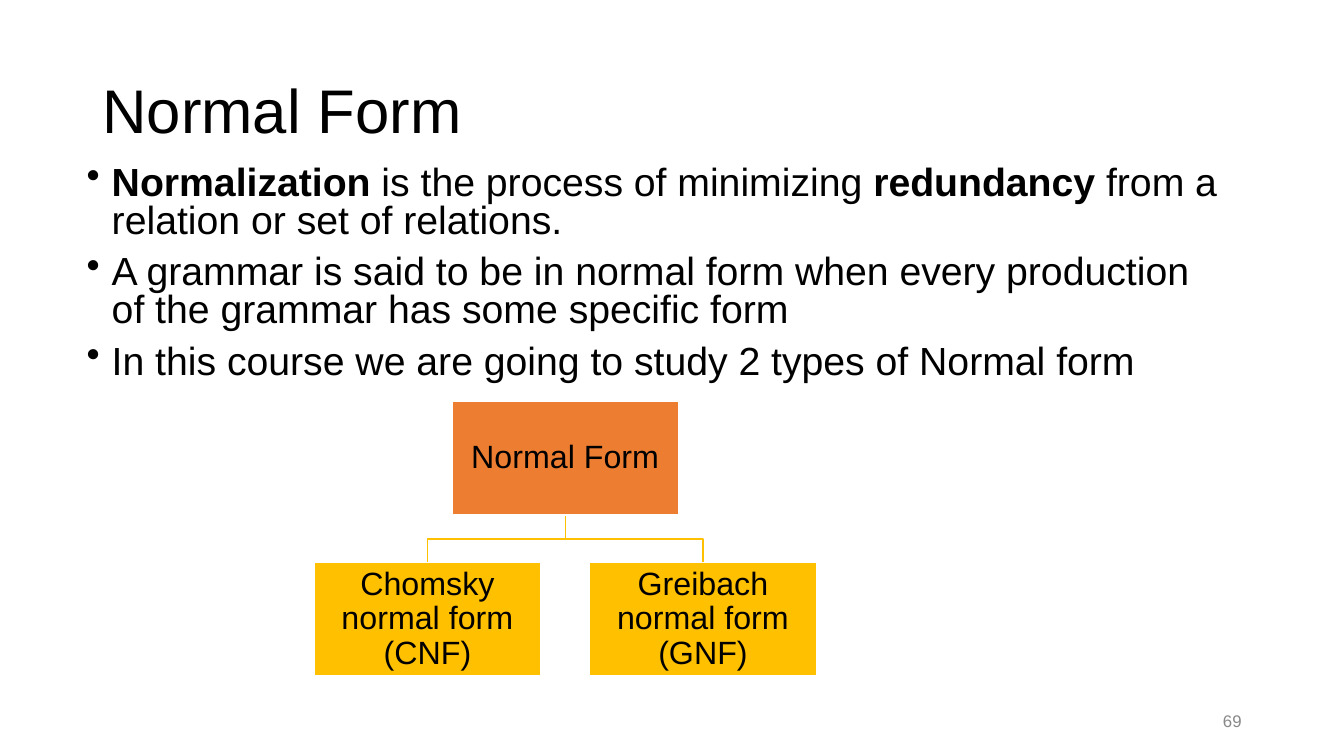
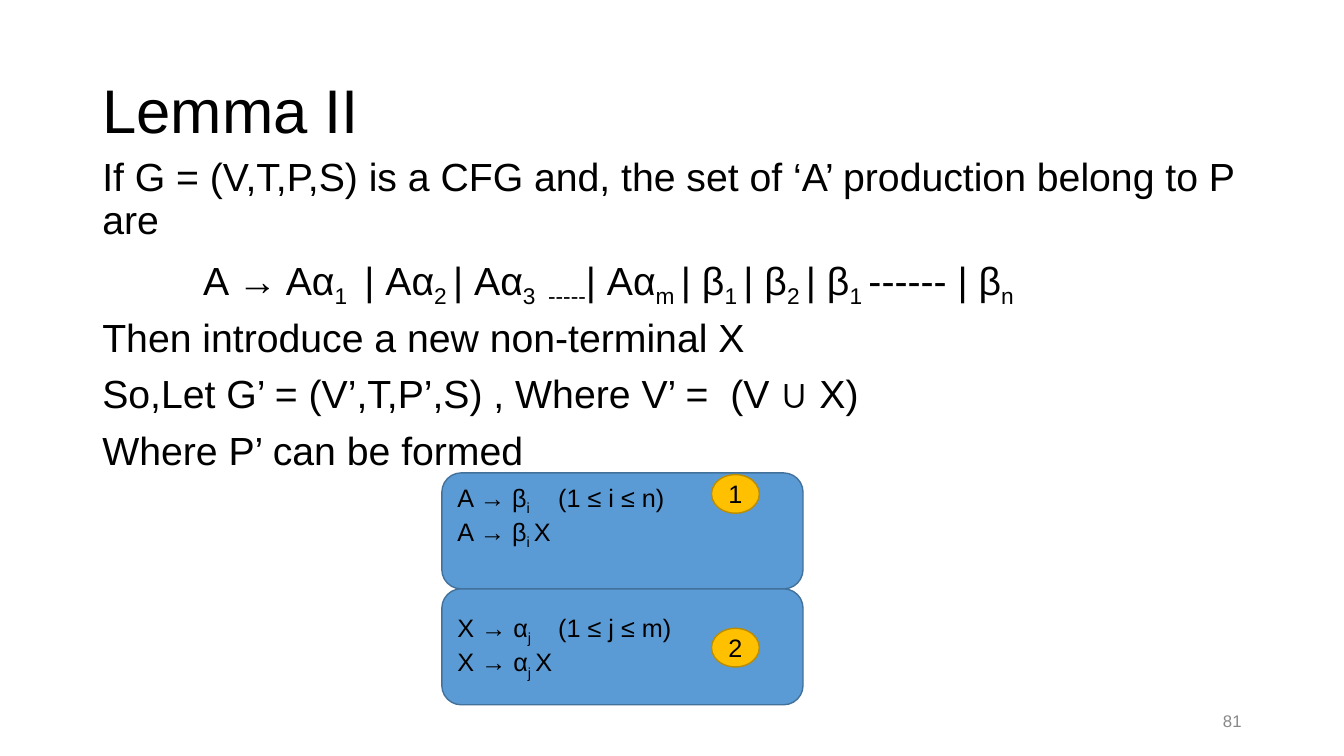
from dataclasses import dataclass
from typing import NamedTuple

from lxml.etree import SubElement
from pptx import Presentation
from pptx.dml.color import RGBColor
from pptx.enum.shapes import MSO_SHAPE
from pptx.enum.text import MSO_ANCHOR, PP_ALIGN
from pptx.oxml.ns import qn
from pptx.util import Emu, Inches, Pt

COLORS = {
    "text": "000000",
    "muted": "888888",
    "white": "FFFFFF",
    "orange": "ED7D31",
    "gold": "FFC000",
    "gold_edge": "BA8C00",
    "blue": "5B9BD5",
    "blue_edge": "42719B",
}
FONT = "Arial"
SLIDE_WIDTH, SLIDE_HEIGHT = Inches(13.33), Inches(7.5)
GRID_COLUMNS, GRID_ROWS = 80, 45
MARK = "~"  # encloses the emphasised parts of a line


class Box(NamedTuple):
    """A rectangle in grid columns and rows."""
    col: float
    row: float
    cols: float
    rows: float

    @property
    def middle(self) -> float:
        return self.col + self.cols / 2

    @property
    def bottom(self) -> float:
        return self.row + self.rows


@dataclass(frozen=True)
class TextStyle:
    size: float
    color: str = "text"
    align: PP_ALIGN = PP_ALIGN.LEFT
    anchor: MSO_ANCHOR = MSO_ANCHOR.MIDDLE
    line_spacing: float = 1.0
    space_before: float = 0
    bullet: bool = False
    subscripts: bool = False  # marked parts are subscripts instead of bold
    tab: float = 0
    insets: tuple[float, float, float, float] = (0.1, 0.05, 0.1, 0.05)


class Rule(NamedTuple):
    """A numbered group of productions."""
    number: str
    lines: list[str]
    bottom_inset: float
    badge_row: float


TITLE_BOX = Box(5.5, 2.4, 69, 8.7)
NUMBER_BOX = Box(56.5, 41.7, 18, 2.4)
TITLE = TextStyle(44, line_spacing=0.9)
NUMBER = TextStyle(12, "muted", PP_ALIGN.RIGHT)
BULLETS = TextStyle(28, anchor=MSO_ANCHOR.TOP, line_spacing=0.8,
                    space_before=10, bullet=True)
LEMMA = TextStyle(28, anchor=MSO_ANCHOR.TOP, line_spacing=0.9,
                  space_before=10, subscripts=True)
NODE = TextStyle(23, align=PP_ALIGN.CENTER, line_spacing=0.9, insets=(0.02,) * 4)
BADGE = TextStyle(18, align=PP_ALIGN.CENTER, insets=(0,) * 4)

DEFINITIONS = [
    "~Normalization~ is the process of minimizing ~redundancy~ from a relation"
    " or set of relations.",
    "A grammar is said to be in normal form when every production of the grammar"
    " has some specific form",
    "In this course we are going to study 2 types of Normal form",
]
ROOT = Box(26.9, 23.9, 13.5, 6.75)
CHILD_PITCH, CHILD_ROW = 16.4, 33.5
CHILD_FORMS = ["Chomsky normal form (CNF)", "Greibach normal form (GNF)"]

LEMMA_LINES = [
    "If G = (V,T,P,S) is a CFG and, the set of ‘A’ production belong to P are",
    "A → Aα~1 ~ | Aα~2 ~| Aα~3  -----~| Aα~m ~| β~1 ~| β~2 ~| β~1 ~------ | β~n~",
    "Then introduce a new non-terminal X",
    "So,Let G’ = (V’,T,P’,S) , Where V’ =  (V ∪ X)",
    "Where P’ can be formed",
]
FORMULA_LINE = 1
RULE_BOX = Box(26.3, 28.15, 21.5, 6.9)
RULES = [
    Rule("1", ["A → β~i~\t(1 ≤ i ≤ n)", "A → β~i ~X"], 0.34, 28.25),
    Rule("2", ["X → α~j~\t(1 ≤ j ≤ m)", "X → α~j ~X"], 0.05, 37.4),
]


def rgb(name: str) -> RGBColor:
    return RGBColor.from_string(COLORS[name])


def grid_x(col: float) -> Emu:
    return Emu(round(col * SLIDE_WIDTH / GRID_COLUMNS))


def grid_y(row: float) -> Emu:
    return Emu(round(row * SLIDE_HEIGHT / GRID_ROWS))


def place(box: Box) -> tuple[Emu, Emu, Emu, Emu]:
    return grid_x(box.col), grid_y(box.row), grid_x(box.cols), grid_y(box.rows)


def indent(paragraph, left: float, first: float = 0) -> None:
    properties = paragraph._p.get_or_add_pPr()
    properties.set("marL", str(Inches(left)))
    properties.set("indent", str(Inches(first)))


def write_line(paragraph, line: str, style: TextStyle) -> None:
    paragraph.alignment = style.align
    paragraph.line_spacing = style.line_spacing
    properties = paragraph._p.get_or_add_pPr()
    if style.bullet:
        indent(paragraph, 0.25, -0.25)
        SubElement(properties, qn("a:buChar"), char="•")
    if style.tab:
        stops = SubElement(properties, qn("a:tabLst"))
        SubElement(stops, qn("a:tab"), pos=str(Inches(style.tab)), algn="l")
    for position, part in enumerate(line.split(MARK)):
        if not part:
            continue
        run = paragraph.add_run()
        run.text = part
        run.font.name = FONT
        run.font.size = Pt(style.size)
        run.font.color.rgb = rgb(style.color)
        if position % 2 and style.subscripts:
            run._r.get_or_add_rPr().set("baseline", "-25000")
        elif position % 2:
            run.font.bold = True


def write(shape, lines: list[str], style: TextStyle) -> None:
    frame = shape.text_frame
    frame.word_wrap = True
    frame.vertical_anchor = style.anchor
    (frame.margin_left, frame.margin_top,
     frame.margin_right, frame.margin_bottom) = map(Inches, style.insets)
    for index, line in enumerate(lines):
        paragraph = frame.add_paragraph() if index else frame.paragraphs[0]
        if index:
            paragraph.space_before = Pt(style.space_before)
        write_line(paragraph, line, style)


def add_text(slide, box: Box, lines: list[str], style: TextStyle):
    textbox = slide.shapes.add_textbox(*place(box))
    write(textbox, lines, style)
    return textbox


def add_block(slide, kind: MSO_SHAPE, box: Box, fill: str, edge: str,
              lines: list[str], style: TextStyle) -> None:
    block = slide.shapes.add_shape(kind, *place(box))
    block.shadow.inherit = False
    block.fill.solid()
    block.fill.fore_color.rgb = rgb(fill)
    block.line.color.rgb = rgb(edge)
    block.line.width = Pt(1)
    write(block, lines, style)


def add_branch(slide, parent: Box, child: Box) -> None:
    """Draw the stepped line from a parent's bottom to a child's top."""
    bend = (parent.bottom + child.row) / 2
    corners = [(parent.middle, bend), (child.middle, bend), (child.middle, child.row)]
    builder = slide.shapes.build_freeform(grid_x(parent.middle), grid_y(parent.bottom))
    builder.add_line_segments([(grid_x(x), grid_y(y)) for x, y in corners], close=False)
    branch = builder.convert_to_shape()
    branch.shadow.inherit = False
    branch.fill.background()
    branch.line.color.rgb = rgb("gold")
    branch.line.width = Pt(1)


def start_slide(deck, title: str, number: str):
    slide = deck.slides.add_slide(deck.slide_layouts[6])
    add_text(slide, TITLE_BOX, [title], TITLE)
    add_text(slide, NUMBER_BOX, [number], NUMBER)
    return slide


def add_normal_form(deck) -> None:
    slide = start_slide(deck, "Normal Form", "69")
    add_text(slide, Box(4.56, 9.6, 69, 14.28), DEFINITIONS, BULLETS)
    first_col = ROOT.col - CHILD_PITCH * (len(CHILD_FORMS) - 1) / 2
    children = [ROOT._replace(col=first_col + i * CHILD_PITCH, row=CHILD_ROW)
                for i in range(len(CHILD_FORMS))]
    for child in children:
        add_branch(slide, ROOT, child)
    add_block(slide, MSO_SHAPE.RECTANGLE, ROOT, "orange", "white", ["Normal Form"], NODE)
    for child, form in zip(children, CHILD_FORMS):
        add_block(slide, MSO_SHAPE.RECTANGLE, child, "gold", "white", [form], NODE)


def add_lemma(deck) -> None:
    slide = start_slide(deck, "Lemma II", "81")
    body = add_text(slide, Box(5.5, 9.1, 69, 20), LEMMA_LINES, LEMMA)
    indent(body.text_frame.paragraphs[FORMULA_LINE], 1)
    for index, rule in enumerate(RULES):
        box = RULE_BOX._replace(row=RULE_BOX.row + index * RULE_BOX.rows)
        style = TextStyle(18, subscripts=True, tab=1,
                          insets=(0.1, 0.05, 0.1, rule.bottom_inset))
        add_block(slide, MSO_SHAPE.ROUNDED_RECTANGLE, box, "blue", "blue_edge",
                  rule.lines, style)
        add_block(slide, MSO_SHAPE.OVAL, Box(42.35, rule.badge_row, 2.85, 2.3),
                  "gold", "gold_edge", [rule.number], BADGE)


def main() -> None:
    deck = Presentation()
    deck.slide_width, deck.slide_height = SLIDE_WIDTH, SLIDE_HEIGHT
    add_normal_form(deck)
    add_lemma(deck)
    deck.save("out.pptx")


if __name__ == "__main__":
    main()
